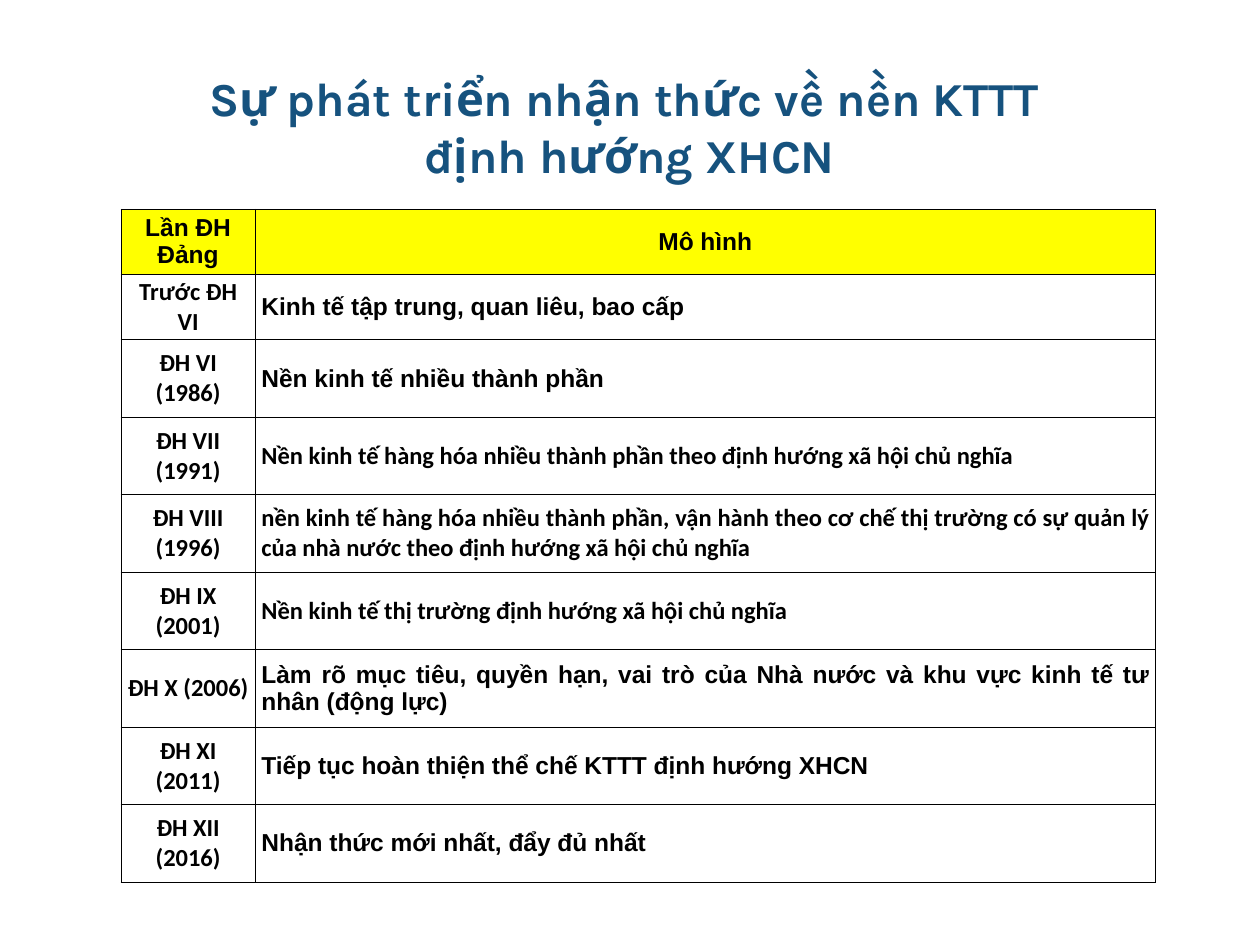
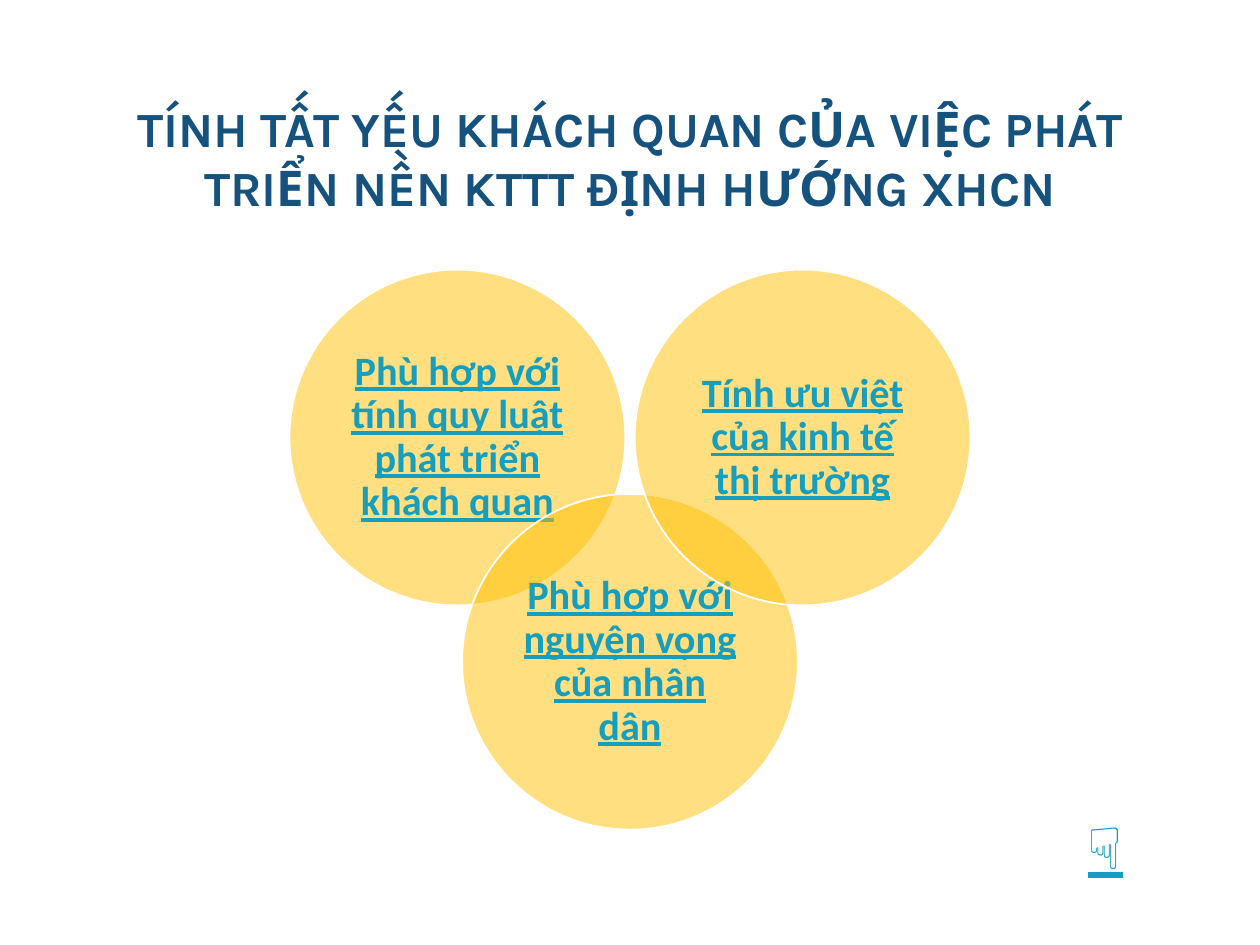
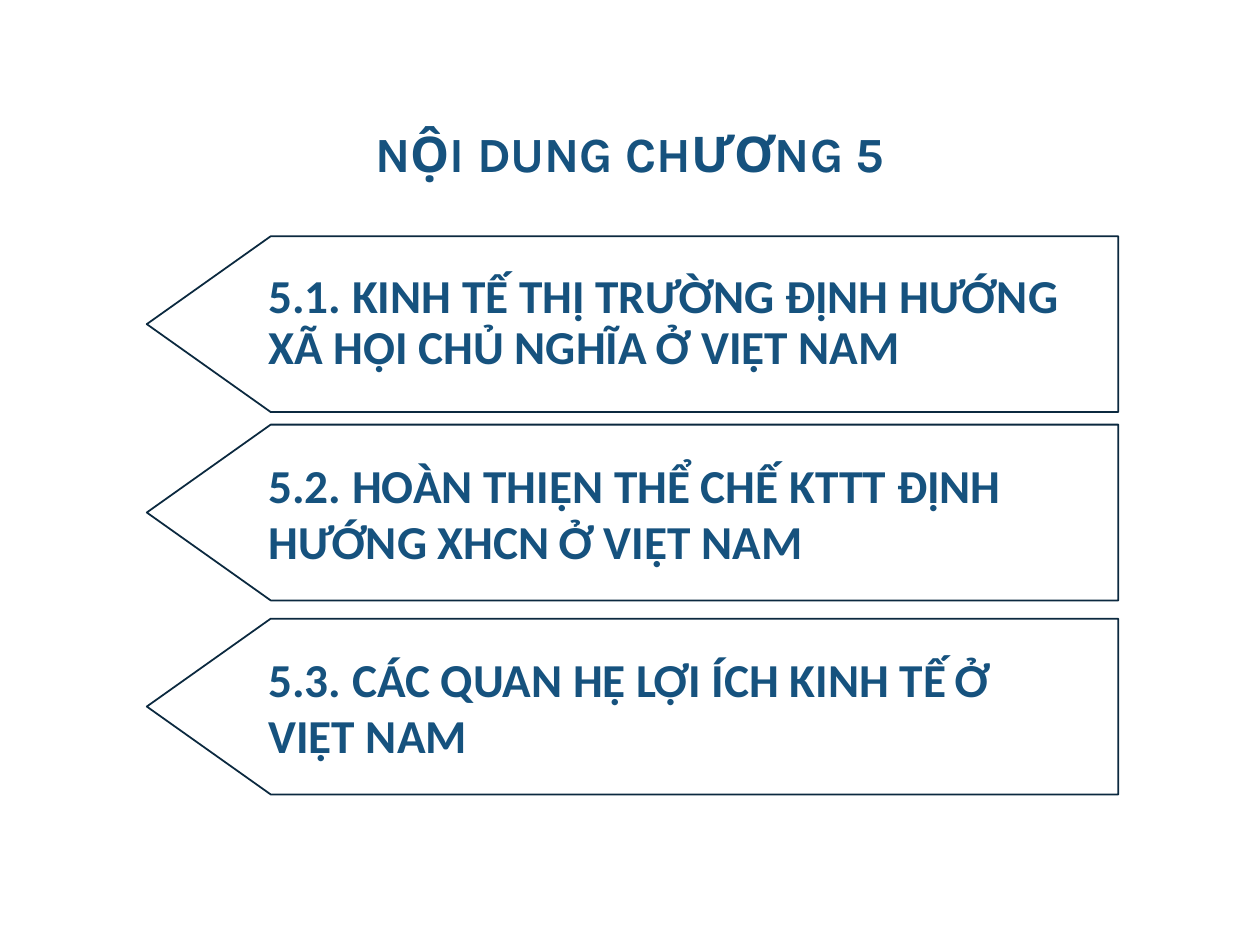
from lxml import etree
from pptx import Presentation
from pptx.dml.color import RGBColor
from pptx.enum.shapes import MSO_SHAPE
from pptx.enum.text import MSO_ANCHOR, PP_ALIGN
from pptx.oxml.ns import qn
from pptx.util import Inches, Pt

OVAL = MSO_SHAPE.OVAL
MIDDLE = MSO_ANCHOR.MIDDLE
LEFT, CENTER, JUSTIFY = PP_ALIGN.LEFT, PP_ALIGN.CENTER, PP_ALIGN.JUSTIFY

NAVY = RGBColor(0x16, 0x52, 0x7E)
DARK_NAVY = RGBColor(0x0B, 0x29, 0x3F)
TEAL = RGBColor(0x16, 0x9E, 0xBE)
AMBER = RGBColor(0xFF, 0xC0, 0x00)
YELLOW = RGBColor(0xFF, 0xFF, 0x00)
BLACK = RGBColor(0x00, 0x00, 0x00)
WHITE = RGBColor(0xFF, 0xFF, 0xFF)

TITLE_FONT, HEAD_FONT, BODY_FONT = "Karla", "Arial", "Calibri"
SLIDE_W, SLIDE_H = 20, 15

CONGRESS_ROWS = [
    ("Trước ĐH VI", "Kinh tế tập trung, quan liêu, bao cấp", HEAD_FONT),
    ("ĐH VI (1986)", "Nền kinh tế nhiều thành phần", HEAD_FONT),
    ("ĐH VII (1991)", "Nền kinh tế hàng hóa nhiều thành phần theo định hướng "
     "xã hội chủ nghĩa", BODY_FONT),
    ("ĐH VIII (1996)", "nền kinh tế hàng hóa nhiều thành phần, vận hành theo "
     "cơ chế thị trường có sự quản lý của nhà nước theo định hướng "
     "xã hội chủ nghĩa", BODY_FONT),
    ("ĐH IX (2001)", "Nền kinh tế thị trường định hướng xã hội chủ nghĩa", BODY_FONT),
    ("ĐH X (2006)", "Làm rõ mục tiêu, quyền hạn, vai trò của Nhà nước và khu vực "
     "kinh tế tư nhân (động lực)", HEAD_FONT),
    ("ĐH XI (2011)", "Tiếp tục hoàn thiện thể chế KTTT định hướng XHCN", HEAD_FONT),
    ("ĐH XII (2016)", "Nhận thức mới nhất, đẩy đủ nhất", HEAD_FONT),
]


def set_frame(tf, insets, wrap=True):
    """Centre the text vertically; insets are left, top, right, bottom in inches."""
    tf.word_wrap = wrap
    tf.vertical_anchor = MIDDLE
    tf.margin_left, tf.margin_top, tf.margin_right, tf.margin_bottom = map(Inches, insets)


def write(tf, text, font, size, color, align=LEFT, bold=True, underline=False,
          spacing=None):
    """Fill the first paragraph, one run for each line of the text."""
    p = tf.paragraphs[0]
    p.alignment = align
    if spacing:
        p.line_spacing = spacing
    for i, line in enumerate(text.split("\n")):
        if i:
            p.add_line_break()
        r = p.add_run()
        r.text = line
        r.font.name, r.font.size = font, Pt(size)
        r.font.bold, r.font.underline = bold, underline
        r.font.color.rgb = color


def add_title(s, text, top, size):
    tf = s.shapes.add_textbox(Inches(0.05 * SLIDE_W), Inches(top),
                              Inches(0.9 * SLIDE_W), Inches(SLIDE_H / 6)).text_frame
    set_frame(tf, (0.27, 0.13, 0.27, 0.13))
    write(tf, text, TITLE_FONT, size, NAVY, CENTER)


def add_borders(cell, color=BLACK, width=1):
    tc_pr = cell._tc.get_or_add_tcPr()
    for side in ("lnL", "lnR", "lnT", "lnB"):
        ln = etree.SubElement(tc_pr, qn("a:" + side), w=str(Pt(width)))
        fill = etree.SubElement(ln, qn("a:solidFill"))
        etree.SubElement(fill, qn("a:srgbClr"), val=str(color))


def fill_cell(cell, text, font, align, fill=None):
    add_borders(cell)
    if fill is None:
        cell.fill.background()
    else:
        cell.fill.solid()
        cell.fill.fore_color.rgb = fill
    cell.vertical_anchor = MIDDLE
    write(cell.text_frame, text, font, 28, BLACK, align)


def add_congress_table(s, left, top):
    col_widths = (2.13, 14.29)
    row_heights = [0.97, 1.04] + [1.23] * (len(CONGRESS_ROWS) - 1)
    table = s.shapes.add_table(len(row_heights), len(col_widths), Inches(left),
                               Inches(top), Inches(sum(col_widths)),
                               Inches(sum(row_heights))).table
    table.first_row = table.horz_banding = False
    for col, width in zip(table.columns, col_widths):
        col.width = Inches(width)
    for row, height in zip(table.rows, row_heights):
        row.height = Inches(height)
    for col, text in enumerate(("Lần ĐH Đảng", "Mô hình")):
        fill_cell(table.cell(0, col), text, HEAD_FONT, CENTER, YELLOW)
    for row, (congress, model, font) in enumerate(CONGRESS_ROWS, 1):
        fill_cell(table.cell(row, 0), congress, BODY_FONT, CENTER)
        fill_cell(table.cell(row, 1), model, font, JUSTIFY)


def add_circle(s, cx, cy, diameter, text):
    sp = s.shapes.add_shape(OVAL, Inches(cx - diameter / 2), Inches(cy - diameter / 2),
                            Inches(diameter), Inches(diameter))
    sp.shadow.inherit = False
    sp.fill.solid()
    sp.fill.fore_color.rgb = AMBER
    clr = sp._element.spPr.find(qn("a:solidFill")).find(qn("a:srgbClr"))
    etree.SubElement(clr, qn("a:alpha"), val="50000")
    sp.line.color.rgb, sp.line.width = WHITE, Pt(2)
    set_frame(sp.text_frame, [0.18] * 4)
    write(sp.text_frame, text, BODY_FONT, 46, TEAL, CENTER, underline=True, spacing=0.9)


def add_venn(s, cx, top, diameter):
    """Two circles side by side and a third below, between them."""
    dx, dy = 2.74, 3.56
    cy = top + diameter / 2
    add_circle(s, cx - dx, cy, diameter, "Phù hợp với tính quy luật phát triển khách quan")
    add_circle(s, cx, cy + dy, diameter, "Phù hợp với nguyện vọng của nhân dân")
    add_circle(s, cx + dx, cy, diameter, "Tính ưu việt của kinh tế thị trường")


def add_hand(s, left, top):
    tf = s.shapes.add_textbox(Inches(left), Inches(top), Inches(0.76),
                              Inches(1.21)).text_frame
    tf.word_wrap = False
    write(tf, "☟", BODY_FONT, 66, TEAL, bold=False, underline=True)


def add_left_arrow(s, left, top, width, height, text, spacing=None):
    tip = 0.705 * height
    right, bottom = left + width, top + height
    outline = [(right, bottom), (left + tip, bottom), (left, top + height / 2),
               (left + tip, top), (right, top)]
    points = [(Inches(x), Inches(y)) for x, y in outline]
    builder = s.shapes.build_freeform(*points[0])
    builder.add_line_segments(points[1:], close=True)
    sp = builder.convert_to_shape()
    sp.shadow.inherit = False
    sp.fill.background()
    sp.line.color.rgb, sp.line.width = DARK_NAVY, Pt(2)
    set_frame(sp.text_frame, (1.93, 0.27, 0.51, 0.27))
    write(sp.text_frame, text, BODY_FONT, 54, NAVY, spacing=spacing)


def build_congress_slide(s):
    add_title(s, "Sự phát triển nhận thức về nền KTTT \nđịnh hướng XHCN", 0.75, 54)
    add_congress_table(s, 1.92, 3.32)


def build_venn_slide(s):
    add_title(s, "TÍNH TẤT YẾU KHÁCH QUAN CỦA VIỆC PHÁT TRIỂN NỀN KTTT "
              "ĐỊNH HƯỚNG XHCN", 1.25, 56.2)
    add_venn(s, SLIDE_W / 2, 4.28, 5.33)
    add_hand(s, 17.17, 12.83)


def build_contents_slide(s):
    add_title(s, "NỘI DUNG CHƯƠNG 5", 1.17, 56.2)
    sections = [
        (3.75, "5.1. KINH TẾ THỊ TRƯỜNG ĐỊNH HƯỚNG XÃ HỘI CHỦ NGHĨA Ở VIỆT NAM", 0.9),
        (6.74, "5.2. HOÀN THIỆN THỂ CHẾ KTTT ĐỊNH HƯỚNG XHCN Ở VIỆT NAM", None),
        (9.82, "5.3. CÁC QUAN HỆ LỢI ÍCH KINH TẾ Ở VIỆT NAM", None),
    ]
    for top, text, spacing in sections:
        add_left_arrow(s, 2.33, top, 15.42, 2.79, text, spacing)


def main():
    prs = Presentation()
    prs.slide_width, prs.slide_height = Inches(SLIDE_W), Inches(SLIDE_H)
    for build in (build_congress_slide, build_venn_slide, build_contents_slide):
        build(prs.slides.add_slide(prs.slide_layouts[6]))
    prs.save("out.pptx")


if __name__ == "__main__":
    main()
